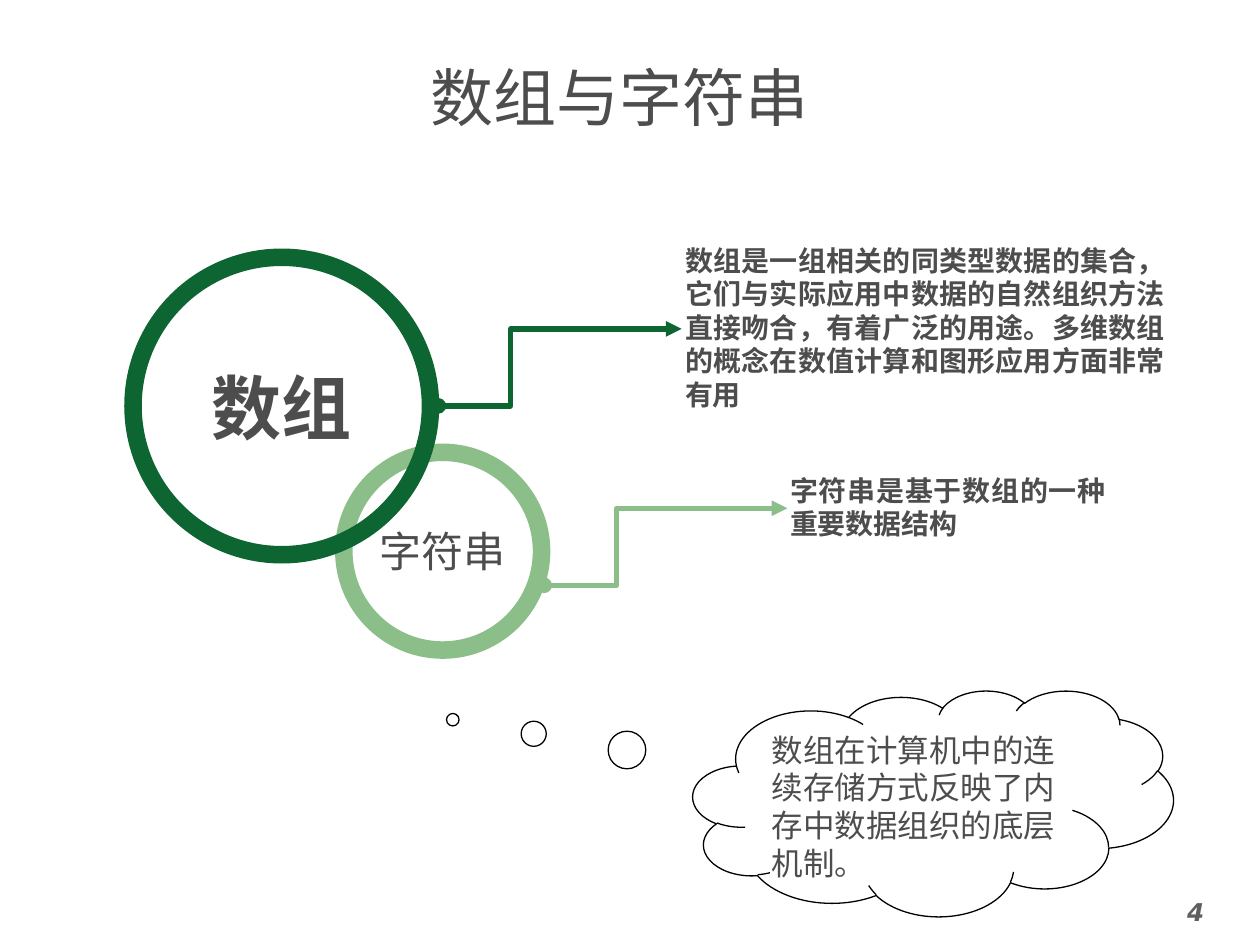
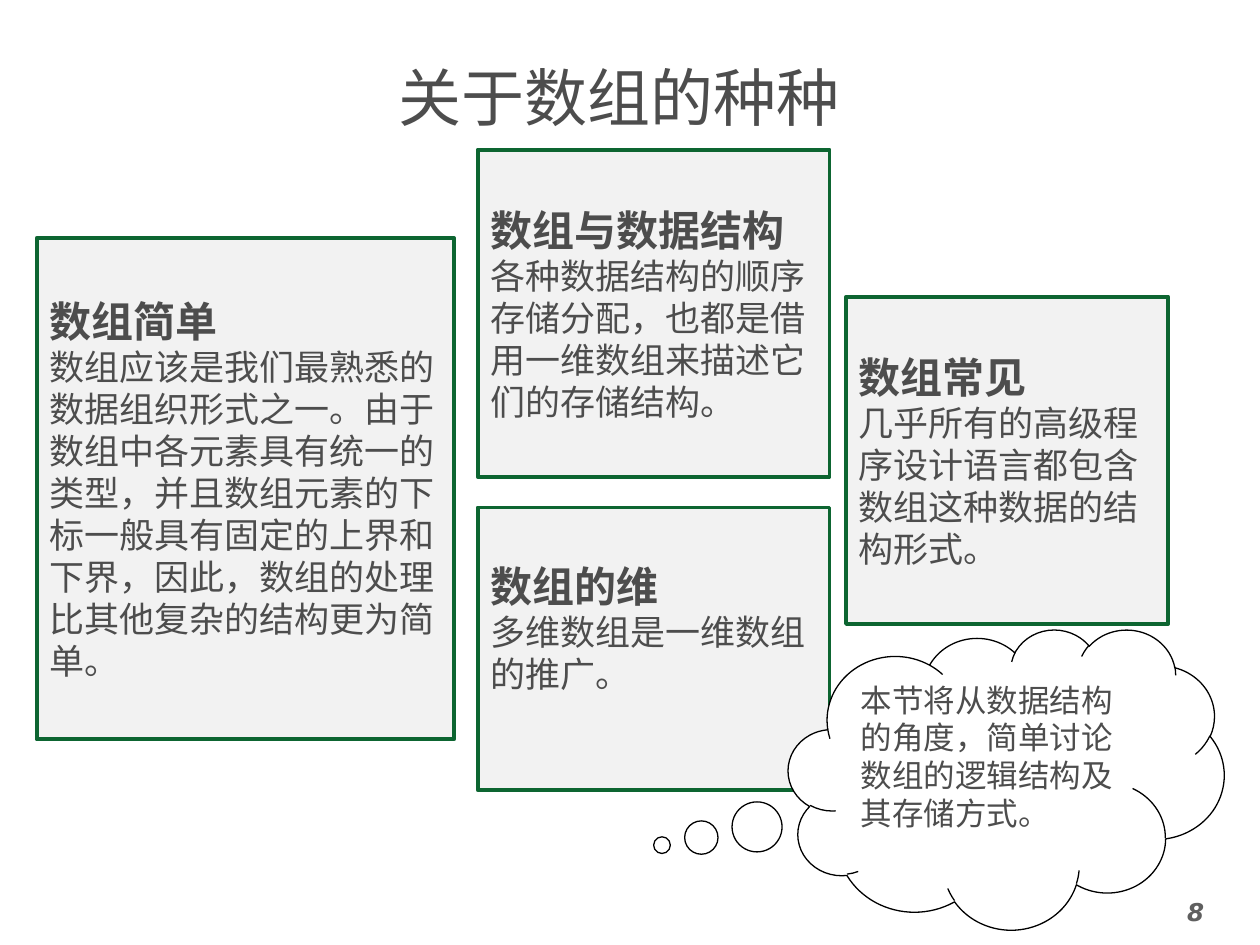
from lxml import etree
from pptx import Presentation
from pptx.dml.color import RGBColor
from pptx.enum.shapes import MSO_CONNECTOR, MSO_SHAPE
from pptx.enum.text import MSO_ANCHOR, MSO_AUTO_SIZE, PP_ALIGN
from pptx.oxml.ns import qn
from pptx.util import Pt

DARK_GREEN = RGBColor(0x0D, 0x65, 0x31)
LIGHT_GREEN = RGBColor(0x8B, 0xBE, 0x88)
TEXT_GRAY = RGBColor(0x4D, 0x4D, 0x4D)
NUMBER_GRAY = RGBColor(0x5F, 0x5F, 0x5F)
PANEL_GRAY = RGBColor(0xF2, 0xF2, 0xF2)
BLACK = RGBColor(0, 0, 0)
WHITE = RGBColor(0xFF, 0xFF, 0xFF)
MONO = "DejaVu Sans Mono"
SANS = "DejaVu Sans"
CJK = "Noto Sans CJK SC"


def write(sp, lines, font=CJK, color=TEXT_GRAY, align=PP_ALIGN.LEFT,
          anchor=MSO_ANCHOR.MIDDLE, inset=None):
    tf = sp.text_frame
    tf.word_wrap = True
    tf.auto_size = MSO_AUTO_SIZE.NONE
    tf.vertical_anchor = anchor
    if inset is not None:
        tf.margin_left = tf.margin_right = Pt(inset)
        tf.margin_top = tf.margin_bottom = Pt(inset)
    tf.text = "\n".join(text for text, size, bold in lines)
    for p, (text, size, bold) in zip(tf.paragraphs, lines):
        p.alignment = align
        for r in p.runs:
            r.font.name = font
            r.font.size = Pt(size)
            r.font.bold = bold
            r.font.color.rgb = color
            ea = etree.SubElement(r.font._element, qn("a:ea"))
            ea.set("typeface", font)


def draw(s, kind, box, line, width, fill=None):
    sp = s.shapes.add_shape(kind, *map(Pt, box))
    sp.shadow.inherit = False
    sp.line.color.rgb = line
    sp.line.width = Pt(width)
    if fill is None:
        sp.fill.background()
    else:
        sp.fill.solid()
        sp.fill.fore_color.rgb = fill
    return sp


prs = Presentation()
prs.slide_width, prs.slide_height = Pt(720), Pt(540)

slides = []
for title, number in [("数组与字符串", "4"), ("关于数组的种种", "8")]:
    s = prs.slides.add_slide(prs.slide_layouts[5])
    sp = s.shapes.title
    sp.left, sp.top, sp.width, sp.height = map(Pt, (42, 29.5, 624, 50.5))
    write(sp, [(title, 36, False)], MONO, align=PP_ALIGN.CENTER)
    sp = s.shapes.add_textbox(*map(Pt, (646.5, 509, 73.5, 31)))
    write(sp, [(number, 14, True)], SANS, NUMBER_GRAY, PP_ALIGN.CENTER, MSO_ANCHOR.TOP)
    sp.text_frame.paragraphs[0].runs[0].font.italic = True
    slides.append(s)

overview, details = slides

topics = [
    ("字符串", 24, False, LIGHT_GREEN, (196.5, 258.5, 113), (311, 334.5),
     (451.5, 242, 180.5, 95), "字符串是基于数组的一种重要数据结构"),
    ("数组", 40, True, DARK_GREEN, (76, 147, 170), (250.5, 232),
     (391.5, 139.5, 274.5, 95),
     "数组是一组相关的同类型数据的集合，它们与实际应用中数据的自然组织方法"
     "直接吻合，有着广泛的用途。多维数组的概念在数值计算和图形应用方面非常有用"),
]
for name, size, bold, color, (x, y, d), (x1, y1), box, text in topics:
    sp = draw(overview, MSO_SHAPE.OVAL, (x, y, d, d), color, 10)
    write(sp, [(name, size, bold)], MONO, align=PP_ALIGN.CENTER, inset=0)

    sp = overview.shapes.add_textbox(*map(Pt, box))
    write(sp, [(text, 16, True)], align=PP_ALIGN.JUSTIFY, inset=0)

    cn = overview.shapes.add_connector(
        MSO_CONNECTOR.ELBOW, Pt(x1), Pt(y1), Pt(x1 + 139), Pt(y1 - 44))
    cn.line.color.rgb = color
    cn.line.width = Pt(3)
    ln = cn.line._get_or_add_ln()
    etree.SubElement(ln, qn("a:headEnd")).set("type", "oval")
    etree.SubElement(ln, qn("a:tailEnd")).set("type", "triangle")
    spPr = cn._element.spPr
    etree.SubElement(spPr, qn("a:effectLst"))
    gd = etree.SubElement(spPr.find(".//" + qn("a:avLst")), qn("a:gd"))
    gd.set("name", "adj1")
    gd.set("fmla", "val 29700")

panels = [
    ((21, 136, 238.5, 286.5), "数组简单",
     "数组应该是我们最熟悉的数据组织形式之一。由于数组中各元素具有统一的类型，"
     "并且数组元素的下标一般具有固定的上界和下界，因此，数组的处理比其他复杂的结构更为简单。"),
    ((273, 85.5, 201, 187), "数组与数据结构",
     "各种数据结构的顺序存储分配，也都是借用一维数组来描述它们的存储结构。"),
    ((273, 290, 201, 161.5), "数组的维", "多维数组是一维数组的推广。"),
    ((483.5, 169.5, 184, 187), "数组常见",
     "几乎所有的高级程序设计语言都包含数组这种数据的结构形式。"),
]
for box, heading, text in panels:
    sp = draw(details, MSO_SHAPE.RECTANGLE, box, DARK_GREEN, 2.25, PANEL_GRAY)
    write(sp, [(heading, 24, True), (text, 20, False)])
    if heading == "数组的维":
        sp.text_frame.margin_bottom = Pt(28)

clouds = [
    (overview, (396, 394.5, 274.5, 129), (-1, -0.37), None,
     "数组在计算机中的连续存储方式反映了内存中数据组织的底层机制。"),
    (details, (450.5, 359.5, 249, 171.5), (-0.79, 0.22), WHITE,
     "本节将从数据结构的角度，简单讨论数组的逻辑结构及其存储方式。"),
]
for s, box, tip, fill, text in clouds:
    sp = draw(s, MSO_SHAPE.CLOUD_CALLOUT, box, BLACK, 0.75, fill)
    sp.adjustments[0], sp.adjustments[1] = tip
    write(sp, [(text, 18, False)], anchor=MSO_ANCHOR.TOP)

prs.save("out.pptx")
